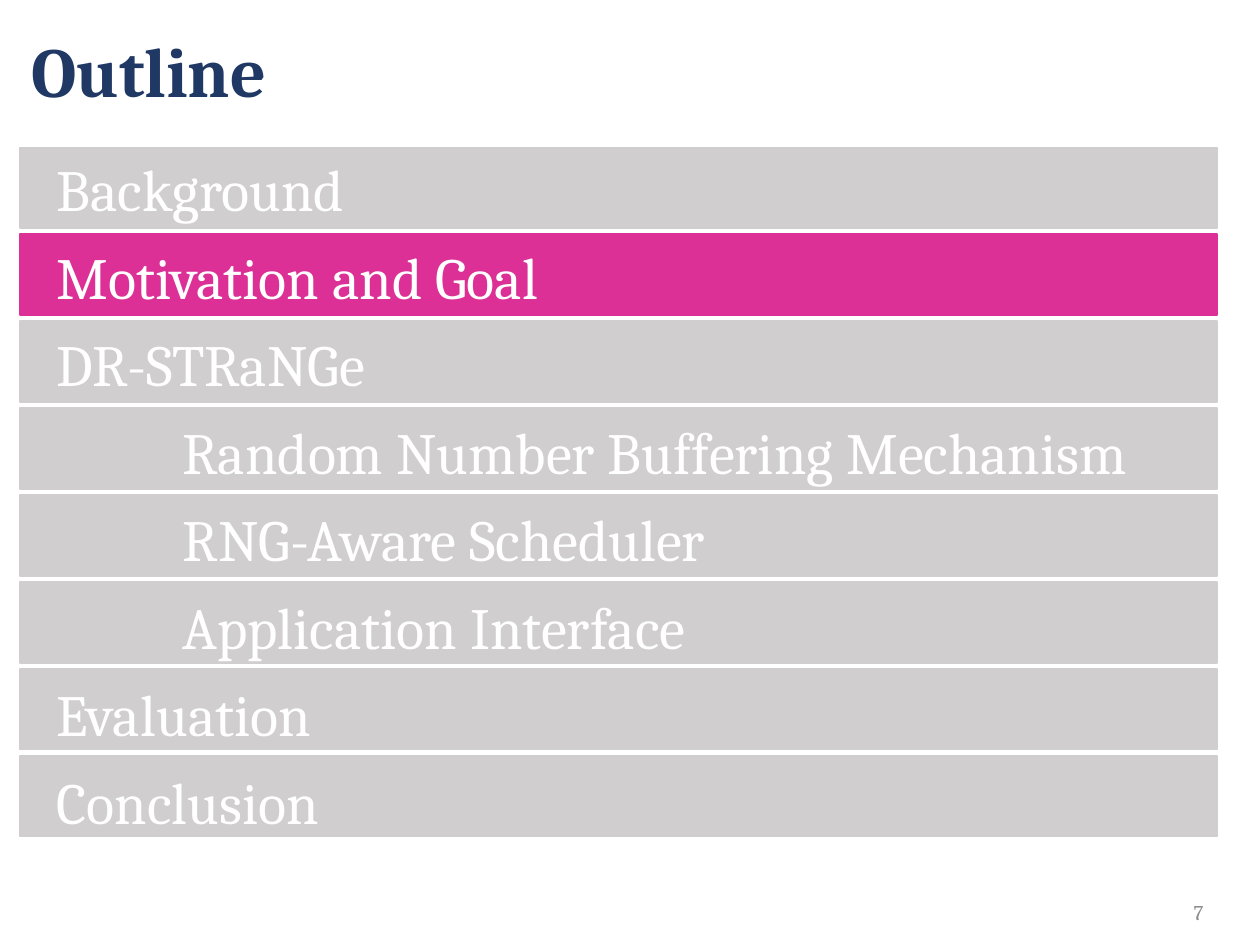
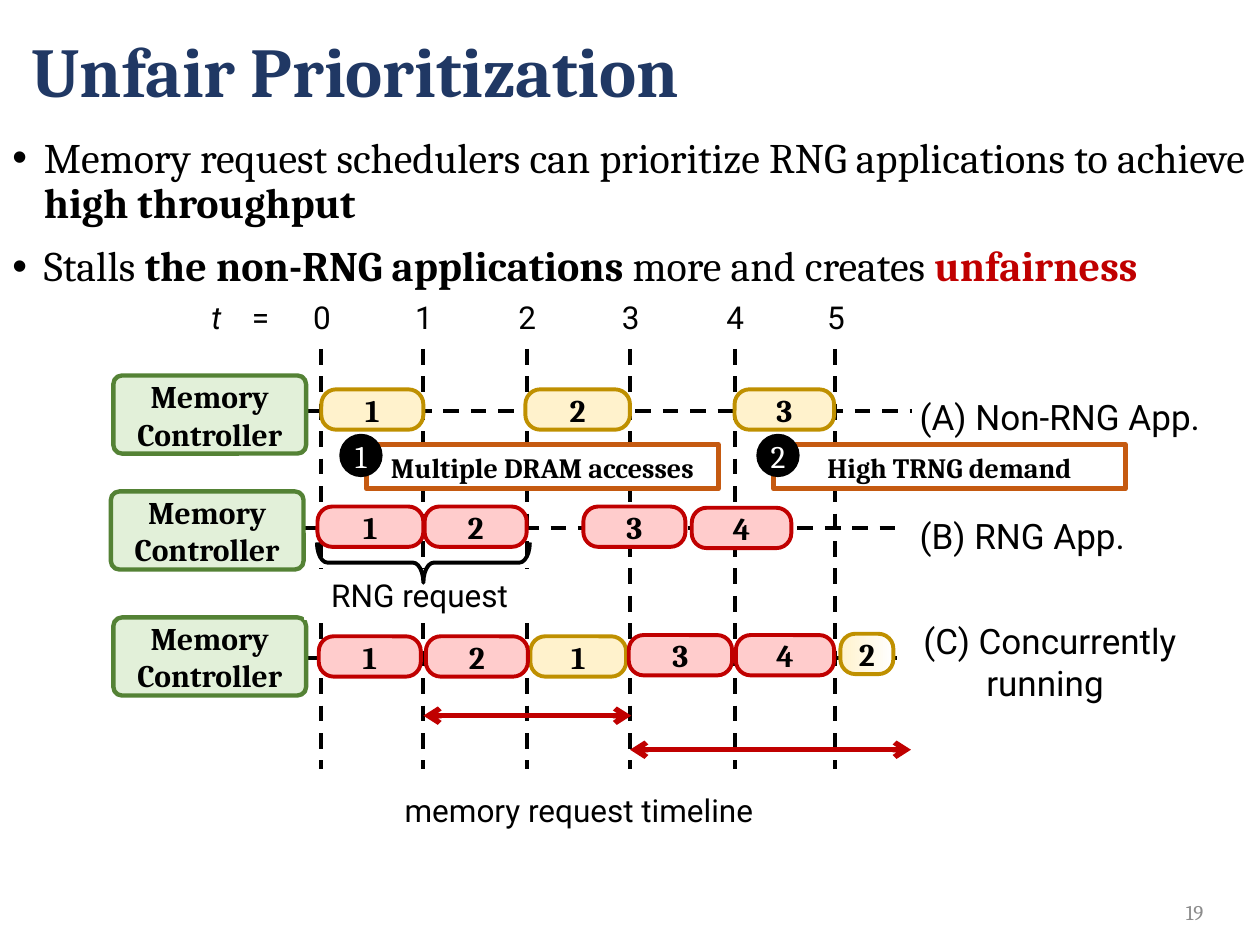
from pptx import Presentation
from pptx.dml.color import RGBColor
from pptx.enum.dml import MSO_LINE
from pptx.enum.shapes import MSO_CONNECTOR, MSO_SHAPE as SHAPE
from pptx.enum.text import MSO_ANCHOR as ANCHOR, PP_ALIGN as ALIGN
from pptx.oxml.ns import qn
from pptx.util import Inches, Pt
from lxml import etree

# Shared look
NAVY, BLACK, WHITE, GRAY = "203864", "000000", "FFFFFF", "8C8C8C"
BAR_GRAY, PINK, RED = "D0CECE", "DC3096", "C00000"
GREEN, CREAM, ROSE, ORANGE = "E2F0D9", "FFF2CC", "FFCCCC", "C55A11"
DARK_GREEN, GOLD = "548235", "BF9000"
SERIF, SANS = "Cambria", "Roboto"
TITLE = dict(name=SERIF, size=40, color=NAVY, bold=True)
FOOTER = dict(name=SERIF, size=12, color=GRAY)
BODY = dict(name=SERIF, size=24, color=BLACK)
STRONG = dict(name=SERIF, size=18, color=BLACK, bold=True)
LABEL = dict(name=SANS, size=18, color=BLACK)
ROW_LABEL = dict(LABEL, size=20)


def rgb(value):
    return RGBColor.from_string(value)


def style(font, fmt):
    for key, value in fmt.items():
        if key == "color":
            font.color.rgb = rgb(value)
        else:
            setattr(font, key, Pt(value) if key == "size" else value)


def write(tf, paragraphs, fmt, align=ALIGN.LEFT, spacing=None, before=0):
    """Each paragraph is a list of (text, changes to fmt) runs."""
    for i, runs in enumerate(paragraphs):
        p = tf.paragraphs[0] if i == 0 else tf.add_paragraph()
        p.alignment = align
        if spacing:
            p.line_spacing = spacing
        if i and before:
            p.space_before = Pt(before)
        for text, changes in runs:
            r = p.add_run()
            r.text = text
            style(r.font, {**fmt, **changes})


def add_text(s, box, paragraphs, fmt, anchor=ANCHOR.TOP, **layout):
    tf = s.shapes.add_textbox(*map(Inches, box)).text_frame
    tf.word_wrap = True
    tf.vertical_anchor = anchor
    if isinstance(paragraphs, str):
        paragraphs = [[(paragraphs, {})]]
    write(tf, paragraphs, fmt, **layout)
    return tf


def indent(p, left, first=0, bullet=None):
    pPr = p._p.get_or_add_pPr()
    pPr.set("marL", str(Inches(left)))
    pPr.set("indent", str(Inches(first)))
    if bullet:
        etree.SubElement(pPr, qn("a:buFont")).set("typeface", "Arial")
        etree.SubElement(pPr, qn("a:buChar")).set("char", bullet)


def add_box(s, kind, box, fill, line, width, text="", fmt=STRONG, adj=()):
    sp = s.shapes.add_shape(kind, *map(Inches, box))
    sp.shadow.inherit = False
    for i, value in enumerate(adj):
        sp.adjustments[i] = value
    if fill:
        sp.fill.solid()
        sp.fill.fore_color.rgb = rgb(fill)
    else:
        sp.fill.background()
    sp.line.color.rgb = rgb(line)
    sp.line.width = Pt(width)
    if text:
        tf = sp.text_frame
        tf.word_wrap = True
        tf.vertical_anchor = ANCHOR.MIDDLE
        tf.margin_left = tf.margin_right = tf.margin_top = tf.margin_bottom = 0
        write(tf, [[(text, {})]], fmt, ALIGN.CENTER)
    return sp


def add_line(s, x1, y1, x2, y2, color, width, dash=False, arrows=False):
    c = s.shapes.add_connector(MSO_CONNECTOR.STRAIGHT,
                               *map(Inches, (x1, y1, x2, y2)))
    c.line.color.rgb = rgb(color)
    c.line.width = Pt(width)
    if dash:
        c.line.dash_style = MSO_LINE.DASH
    spPr = c._element.spPr
    if arrows:
        for end in ("a:headEnd", "a:tailEnd"):
            etree.SubElement(spPr.find(qn("a:ln")), qn(end)).set("type", "arrow")
    etree.SubElement(spPr, qn("a:effectLst"))


def add_slide(prs, title, number):
    s = prs.slides.add_slide(prs.slide_layouts[6])
    add_text(s, (0.15, 0, 9.73, 1.19), title, TITLE, ANCHOR.MIDDLE, spacing=0.9)
    add_text(s, (9.18, 7.13, 0.47, 0.22), str(number), FOOTER, ANCHOR.MIDDLE,
             align=ALIGN.RIGHT)
    return s


# Slide: outline
def outline_slide(prs):
    s = add_slide(prs, "Outline", 7)
    topics = [("Background", 0), ("Motivation and Goal", 0), ("DR-STRaNGe", 0),
              ("Random Number Buffering Mechanism", 1),
              ("RNG-Aware Scheduler", 1), ("Application Interface", 1),
              ("Evaluation", 0), ("Conclusion", 0)]
    current = "Motivation and Goal"
    for i, (topic, _) in enumerate(topics):
        color = PINK if topic == current else BAR_GRAY
        add_box(s, SHAPE.RECTANGLE, (0.16, 1.17 + 0.69 * i, 9.5, 0.64),
                color, color, 1)
    tf = add_text(s, (0.35, 1.17, 9.3, 5.6), [[(t, {})] for t, _ in topics],
                  dict(name=SERIF, size=33.3, color=WHITE), before=10)
    for p, (_, level) in zip(tf.paragraphs, topics):
        indent(p, level)


# Slide: request timeline
def add_request(s, x, y, w, number, fill, line):
    return add_box(s, SHAPE.ROUNDED_RECTANGLE, (x, y, w, 0.32), fill, line,
                   2.25, number, adj=[0.37])


def add_callout(s, x, number, text):
    add_box(s, SHAPE.RECTANGLE, (x, 3.53, 2.79, 0.35), WHITE, ORANGE, 3, text,
            dict(STRONG, size=16))
    return number


def timeline_slide(prs):
    s = add_slide(prs, "Unfair Prioritization", 19)
    bold = dict(bold=True)
    tf = add_text(s, (0, 1.04, 10, 5.72), [
        [("Memory request schedulers can prioritize RNG applications to achieve ", {}),
         ("high throughput", bold)],
        [("Stalls ", {}), ("the non-RNG applications ", bold),
         ("more and creates ", {}), ("unfairness", dict(bold, color=RED))],
    ], BODY, spacing=0.9, before=10)
    for p in tf.paragraphs:
        indent(p, 0.25, -0.25, "•")

    # Time axis
    add_text(s, (1.58, 2.32, 0.4, 0.4), "t", dict(LABEL, italic=True))
    add_text(s, (1.9, 2.32, 0.4, 0.4), "=", LABEL)
    ticks = [2.55, 3.36, 4.18, 5, 5.83, 6.63]
    for t, x in enumerate(ticks):
        add_line(s, x, 2.77, x, 6.1, BLACK, 2.25, dash=True)
        add_text(s, (x - 0.23, 2.32, 0.47, 0.4), str(t), LABEL,
                 align=ALIGN.CENTER)

    # Memory controllers, their tracks and row labels
    for x, y, track_y, end in [(0.9, 2.98, 3.26, 7.24), (0.88, 3.9, 4.19, 7.13),
                               (0.9, 4.9, 5.22, 7.12)]:
        add_line(s, x + 1.53, track_y, end, track_y, BLACK, 2.25, dash=True)
        add_box(s, SHAPE.ROUNDED_RECTANGLE, (x, y, 1.53, 0.62), GREEN,
                DARK_GREEN, 2.5, "Memory Controller", adj=[0.11])
    add_text(s, (7.2, 2.92, 2.67, 0.55), "(A) Non-RNG App.", ROW_LABEL, spacing=1.5)
    add_text(s, (7.2, 3.87, 2.67, 0.55), "(B) RNG App.", ROW_LABEL, spacing=1.5)
    tf = add_text(s, (7.23, 4.87, 2.67, 0.77),
                  [[("(C) Concurrently", {})], [("running", {})]], ROW_LABEL)
    indent(tf.paragraphs[1], 0.5)

    # Requests: left, top, width, number
    regular = [(2.55, 3.09, 0.81, "1"), (4.17, 3.09, 0.83, "2"),
               (5.83, 3.09, 0.79, "3"), (4.21, 5.05, 0.76, "1")]
    random = [(2.52, 4.02, 0.84, "1"), (3.37, 4.02, 0.81, "2"),
              (4.63, 4.02, 0.81, "3"), (5.49, 4.03, 0.79, "4"),
              (2.53, 5.05, 0.81, "1"), (3.38, 5.05, 0.81, "2"),
              (4.99, 5.04, 0.82, "3"), (5.84, 5.04, 0.78, "4")]
    for request in regular:
        add_request(s, *request, CREAM, GOLD)
    for request in random:
        add_request(s, *request, ROSE, RED)
    fill = add_request(s, 6.67, 5.03, 0.42, "2", CREAM, GOLD).fill
    fill.gradient()
    fill.gradient_angle = 0
    for stop, color in zip(fill.gradient_stops, (CREAM, WHITE)):
        stop.color.rgb = rgb(color)

    # Numbered callouts
    for x, badge_x, number, text in [(2.91, 2.7, "1", "Multiple DRAM accesses"),
                                     (6.14, 6.01, "2", "High TRNG demand")]:
        add_callout(s, x, number, text)
        add_box(s, SHAPE.OVAL, (badge_x, 3.45, 0.33, 0.33), BLACK, BLACK, 1,
                number, dict(STRONG, color=WHITE, bold=False))

    # Stall arrows, brace and captions
    add_line(s, 3.36, 5.68, 5.01, 5.68, RED, 3, arrows=True)
    add_line(s, 5, 5.95, 7.23, 5.95, RED, 3, arrows=True)
    add_box(s, SHAPE.RECTANGLE, (2.42, 4.52, 1.82, 0.4), WHITE, WHITE, 0.75,
            "RNG request", LABEL)
    brace = add_box(s, SHAPE.RIGHT_BRACE, (3.2, 3.62, 0.32, 1.69), None, BLACK,
                    2.25, adj=[0.26, 0.5])
    brace.rotation = 90
    add_text(s, (2.55, 6.23, 4.09, 0.4), "memory request timeline", LABEL,
             align=ALIGN.CENTER)


def main():
    prs = Presentation()
    prs.slide_width, prs.slide_height = Inches(10), Inches(7.5)
    outline_slide(prs)
    timeline_slide(prs)
    prs.save("out.pptx")


if __name__ == "__main__":
    main()
